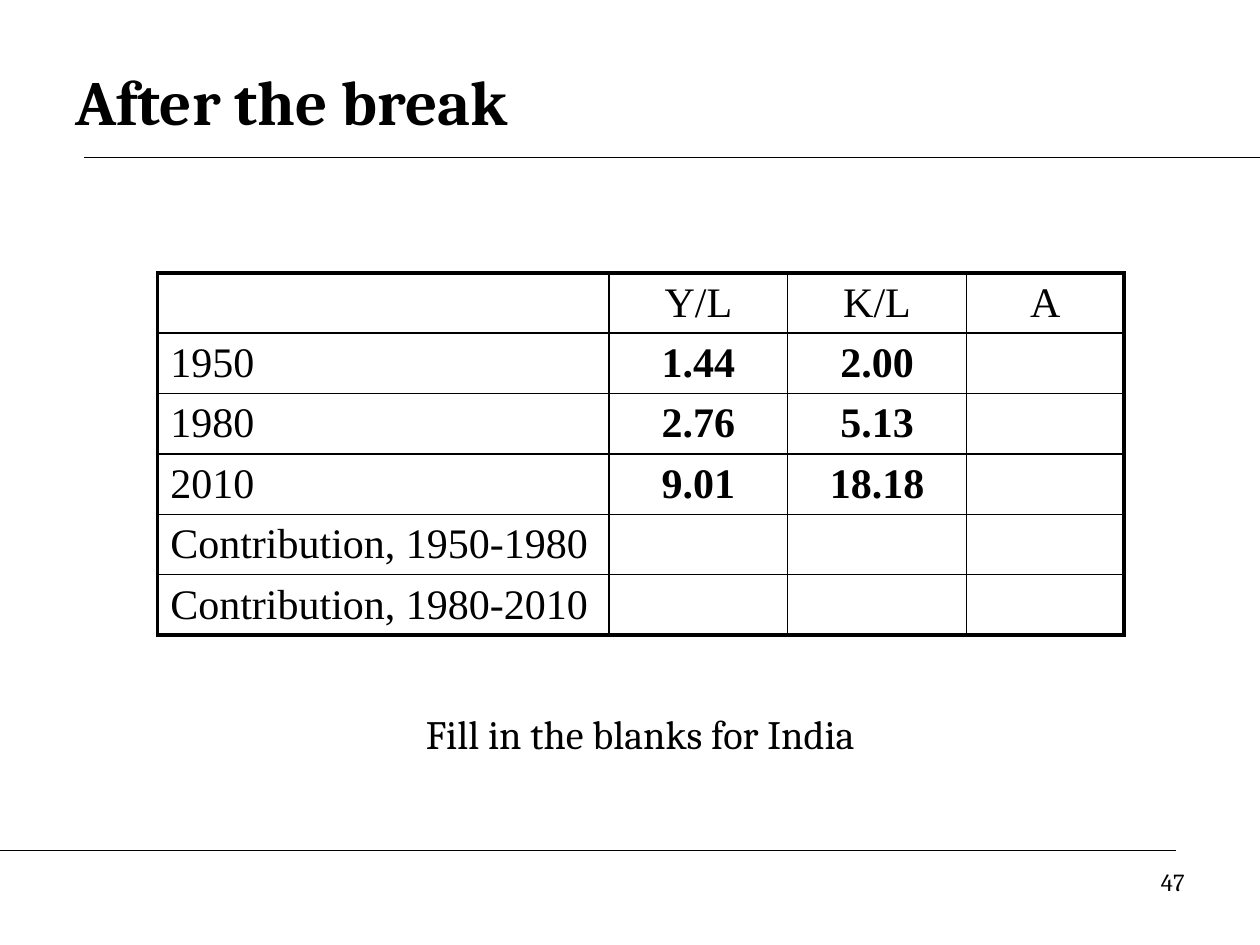
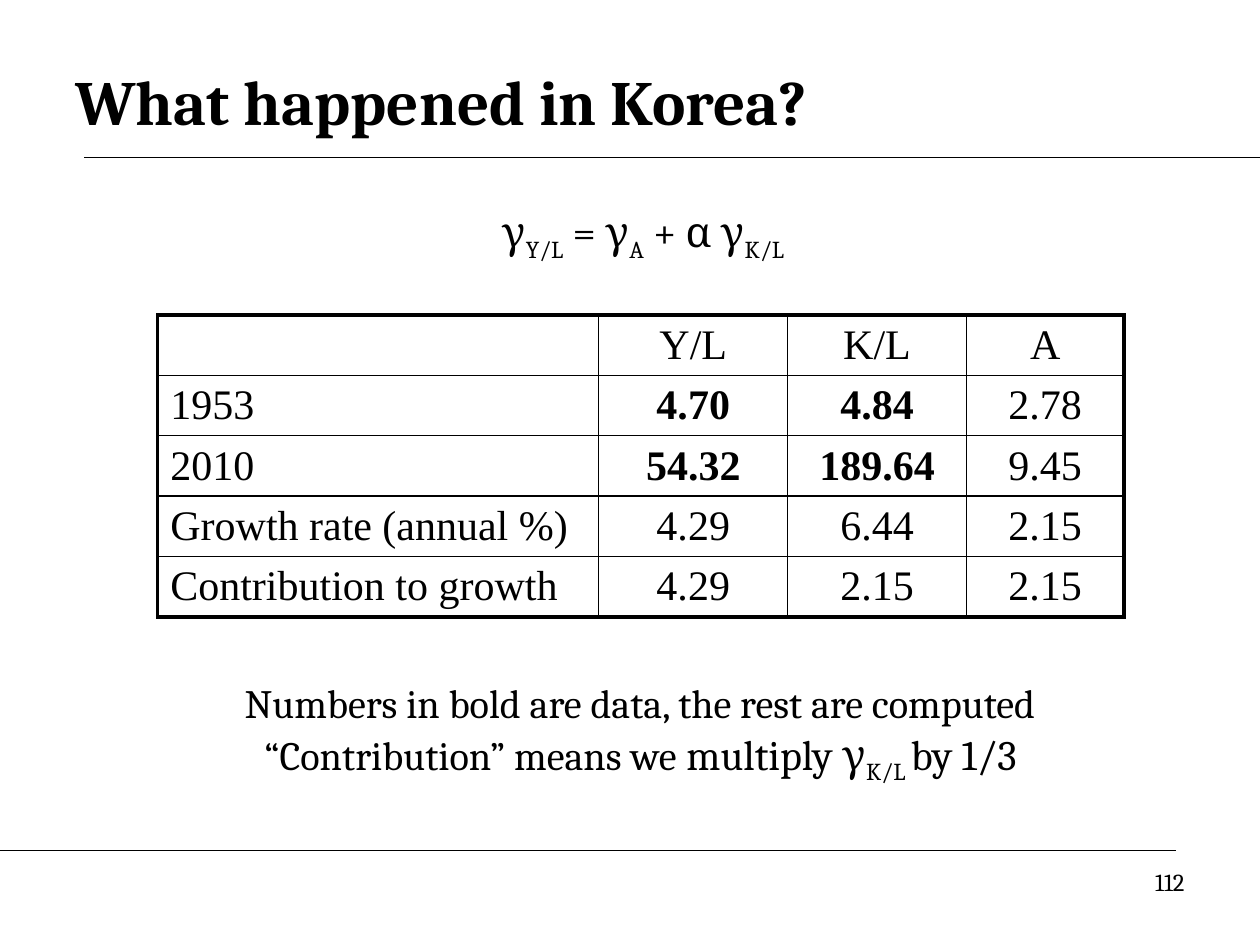
from dataclasses import dataclass

from lxml.etree import SubElement
from pptx import Presentation
from pptx.dml.color import RGBColor
from pptx.enum.shapes import MSO_CONNECTOR
from pptx.enum.text import MSO_ANCHOR, PP_ALIGN
from pptx.oxml.ns import qn
from pptx.util import Cm, Pt

COLOURS = {"ink": "000000", "paper": "FFFFFF"}
BODY_FONT = "Cambria"
TABLE_FONT = "Times New Roman"
TITLE_ONLY = 5
ROW_HEIGHT = Cm(1.19)
THIN, THICK = Pt(1), Pt(2.25)


@dataclass
class Piece:
    """A stretch of text that may be lowered or have its own size."""
    text: str
    subscript: bool = False
    size: float = None


class Deck:
    def __init__(self):
        self.presentation = Presentation()
        self.presentation.slide_width = Cm(25.4)
        self.presentation.slide_height = Cm(19.05)
        self.slide = None

    def start_slide(self, title, number):
        """Add a slide with its title, two rules and page number."""
        layout = self.presentation.slide_layouts[TITLE_ONLY]
        self.slide = self.presentation.slides.add_slide(layout)
        self.slide.background.fill.solid()
        self.slide.background.fill.fore_color.rgb = RGBColor.from_string(COLOURS["paper"])
        self.rule(1.7, 25.4, 3.18)
        self.rule(0, 23.7, 17.15)
        self.title(title)
        self.text_box(18.2, 17.36, 5.93, 1.31, [[Piece(number)]], 14, PP_ALIGN.RIGHT)

    def style(self, paragraph, size, alignment, name=BODY_FONT, bold=False):
        paragraph.alignment = alignment
        font = paragraph.font
        font.name, font.size, font.bold = name, Pt(size), bold
        font.color.rgb = RGBColor.from_string(COLOURS["ink"])

    def title(self, text):
        shape = self.slide.shapes.title
        shape.left, shape.top, shape.width, shape.height = Cm(1.27), Cm(0.85), Cm(22.86), Cm(2.33)
        shape.text_frame.text = text
        shape.text_frame.vertical_anchor = MSO_ANCHOR.MIDDLE
        self.style(shape.text_frame.paragraphs[0], 36, PP_ALIGN.LEFT, bold=True)

    def rule(self, start, end, height):
        line = self.slide.shapes.add_connector(
            MSO_CONNECTOR.STRAIGHT, Cm(start), Cm(height), Cm(end), Cm(height))
        line.line.color.rgb = RGBColor.from_string(COLOURS["ink"])
        line.line.width = Pt(0.75)
        SubElement(line._element.spPr, qn("a:effectLst"))

    def text_box(self, left, top, width, height, lines, size, alignment=PP_ALIGN.CENTER):
        shape = self.slide.shapes.add_textbox(Cm(left), Cm(top), Cm(width), Cm(height))
        frame = shape.text_frame
        frame.word_wrap = True
        for index, pieces in enumerate(lines):
            paragraph = frame.add_paragraph() if index else frame.paragraphs[0]
            if index:
                paragraph.space_before = Pt(1)
            self.style(paragraph, size, alignment)
            for piece in pieces:
                run = paragraph.add_run()
                run.text = piece.text
                if piece.size:
                    run.font.size = Pt(piece.size)
                if piece.subscript:
                    run._r.get_or_add_rPr().set("baseline", "-25000")

    def border(self, cell, side, width):
        line = SubElement(cell._tc.get_or_add_tcPr(), qn(f"a:ln{side}"), w=str(width))
        fill = SubElement(line, qn("a:solidFill"))
        SubElement(fill, qn("a:srgbClr"), val=COLOURS["ink"])

    def table(self, top, column_widths, rows):
        """Add a boxed table; the input data of the year rows are bold."""
        row_count, column_count = len(rows), len(column_widths)
        table = self.slide.shapes.add_table(
            row_count, column_count, Cm(3.18), Cm(top),
            Cm(sum(column_widths)), ROW_HEIGHT * row_count).table
        table.first_row = table.horz_banding = False
        for column, width in zip(table.columns, column_widths):
            column.width = Cm(width)
        for row_index, values in enumerate(rows):
            table.rows[row_index].height = ROW_HEIGHT
            for column_index, value in enumerate(values):
                cell = table.cell(row_index, column_index)
                cell.margin_top = cell.margin_bottom = Cm(0.1)
                cell.vertical_anchor = MSO_ANCHOR.MIDDLE
                outer_sides = {"L": column_index == 0, "R": column_index == column_count - 1,
                               "T": row_index == 0, "B": row_index == row_count - 1}
                for side, is_outer in outer_sides.items():
                    self.border(cell, side, THICK if is_outer else THIN)
                cell.fill.background()
                cell.text = value
                is_data = values[0].isdigit() and column_index in (1, 2)
                self.style(cell.text_frame.paragraphs[0], 24,
                           PP_ALIGN.CENTER if column_index else PP_ALIGN.LEFT,
                           TABLE_FONT, is_data)

    def caption(self, top, lines):
        self.text_box(1.7, top, 22.43, 2.33, lines, 23)


def main():
    deck = Deck()
    header = ["", "Y/L", "K/L", "A"]

    deck.start_slide("After the break", "47")
    deck.table(5.5, [9.1, 3.6, 3.6, 3.18], [
        header,
        ["1950", "1.44", "2.00", ""],
        ["1980", "2.76", "5.13", ""],
        ["2010", "9.01", "18.18", ""],
        ["Contribution, 1950-1980", "", "", ""],
        ["Contribution, 1980-2010", "", "", ""],
    ])
    deck.caption(14.18, [[Piece("Fill in the blanks for India")]])

    deck.start_slide("What happened in Korea?", "112")
    deck.table(6.35, [8.89, 3.81, 3.6, 3.18], [
        header,
        ["1953", "4.70", "4.84", "2.78"],
        ["2010", "54.32", "189.64", "9.45"],
        ["Growth rate (annual %)", "4.29", "6.44", "2.15"],
        ["Contribution to growth", "4.29", "2.15", "2.15"],
    ])
    deck.caption(13.55, [
        [Piece("Numbers in bold are data, the rest are computed")],
        [Piece("“Contribution” means we "), Piece("multiply γ", size=24),
         Piece("K/L ", subscript=True, size=24), Piece("by 1/3", size=24)],
    ])
    deck.text_box(4.23, 4.02, 17.57, 2.05, [[
        Piece("γ"), Piece("Y/L", subscript=True), Piece(" = γ"),
        Piece("A", subscript=True), Piece(" + α γ"), Piece("K/L ", subscript=True),
    ]], 24)

    deck.presentation.save("out.pptx")


if __name__ == "__main__":
    main()
